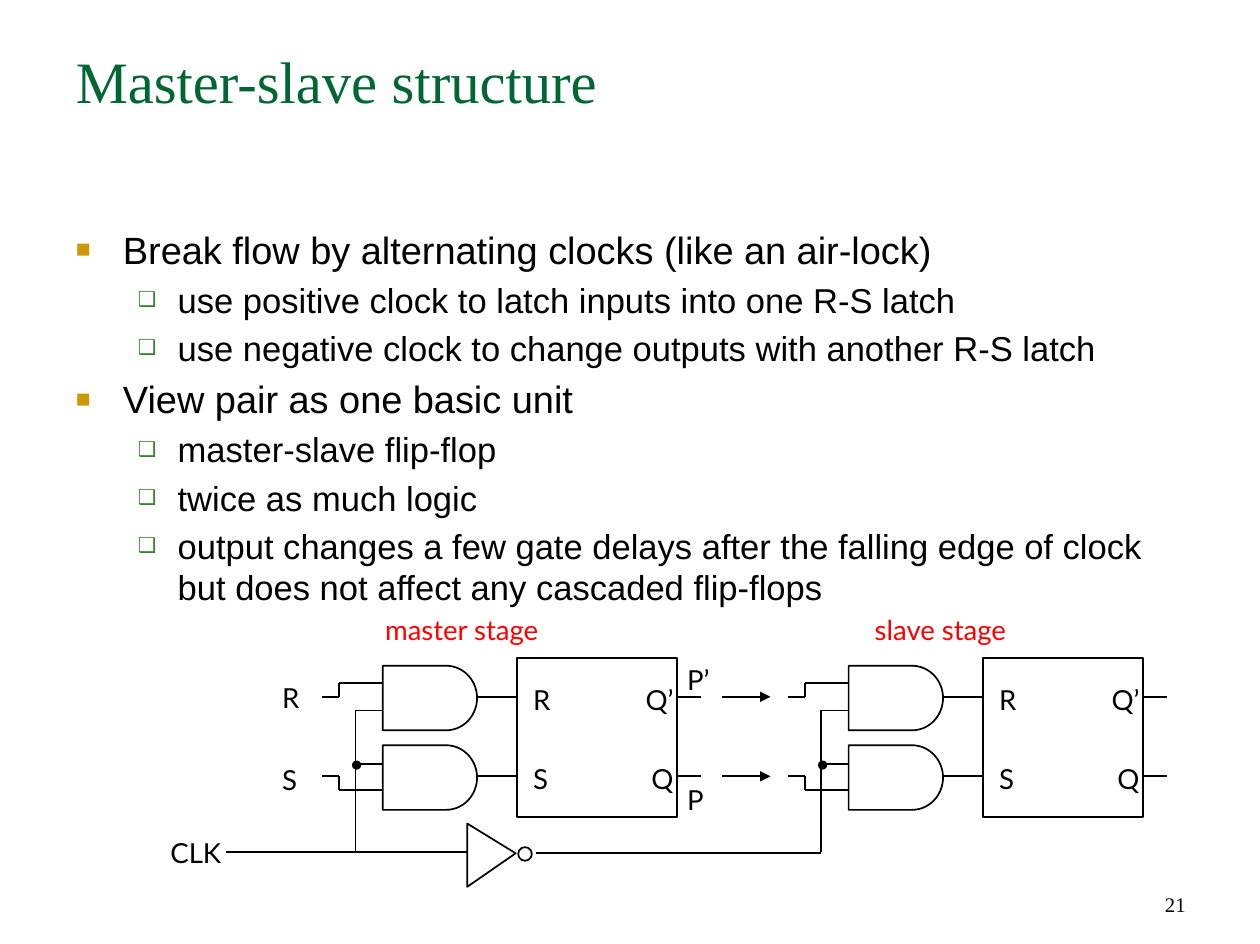
from dataclasses import dataclass
from math import cos, pi, sin

from lxml.etree import SubElement
from pptx import Presentation
from pptx.dml.color import RGBColor
from pptx.enum.shapes import MSO_CONNECTOR, MSO_SHAPE
from pptx.enum.text import MSO_ANCHOR, MSO_AUTO_SIZE, PP_ALIGN
from pptx.oxml.ns import qn
from pptx.util import Pt

PX = 9144  # EMU in one px, 100 px to the inch


@dataclass(frozen=True)
class Theme:
    ink: str = "000000"
    paper: str = "FFFFFF"
    head: str = "006633"
    stage: str = "FF0000"
    serif: str = "Times New Roman"
    sans: str = "Arial"
    label: str = "Lato"
    title: int = 34
    note: int = 16
    page: int = 12
    wire: int = 1


@dataclass(frozen=True)
class Level:
    size: int
    left: int
    hang: int
    mark: str
    tint: str
    scale: int
    gap: float


THEME = Theme()
LEVELS = (
    Level(22, 38, 38, "■", "CC9900", 65, 4.4),
    Level(20, 82, 32, "❑", "3B812F", 60, 4),
)
POINTS = (
    (0, "Break flow by alternating clocks (like an air-lock)"),
    (1, "use positive clock to latch inputs into one R-S latch"),
    (1, "use negative clock to change outputs with another R-S latch"),
    (0, "View pair as one basic unit"),
    (1, "master-slave flip-flop"),
    (1, "twice as much logic"),
    (1, "output changes a few gate delays after the falling edge of clock "
        "but does not affect any cascaded flip-flops"),
)
ROWS = (31, 95)  # the two signal rows, below the top of a stage


def px(*nums):
    return [round(n * PX) for n in nums]


def place(shape, box):
    shape.left, shape.top, shape.width, shape.height = px(*box)


def write(para, text, size, font, tint):
    run = para.add_run()
    run.text = text
    run.font.size = Pt(size)
    run.font.name = font
    run.font.color.rgb = RGBColor.from_string(tint)


def pad(frame, side, end):
    frame.margin_left, frame.margin_right = px(side, side)
    frame.margin_top, frame.margin_bottom = px(end, end)


def label(slide, text, box, tint=THEME.ink, align=PP_ALIGN.LEFT, lead=21):
    frame = slide.shapes.add_textbox(*px(*box)).text_frame
    frame.word_wrap = True
    pad(frame, 2, 3)
    para = frame.paragraphs[0]
    para.alignment = align
    para.line_spacing = Pt(lead)
    write(para, text, THEME.note, THEME.label, tint)


def ink(shape, fill=THEME.paper):
    shape.shadow.inherit = False
    shape.fill.solid()
    shape.fill.fore_color.rgb = RGBColor.from_string(fill)
    shape.line.color.rgb = RGBColor.from_string(THEME.ink)
    shape.line.width = Pt(THEME.wire)


def solid(slide, kind, box, fill=THEME.paper):
    ink(slide.shapes.add_shape(kind, *px(*box)), fill)


def shape(slide, spots):
    """Draw a closed outline through the spots."""
    first, *rest = [px(*spot) for spot in spots]
    pen = slide.shapes.build_freeform(*first)
    pen.add_line_segments(rest, close=True)
    ink(pen.convert_to_shape())


def wire(slide, *spots, arrow=False):
    """Join the spots by straight lines, one after another."""
    for start, end in zip(spots, spots[1:]):
        line = slide.shapes.add_connector(
            MSO_CONNECTOR.STRAIGHT, *px(*start, *end))
        line.line.color.rgb = RGBColor.from_string(THEME.ink)
        line.line.width = Pt(THEME.wire)
        if arrow:
            SubElement(line.line._get_or_add_ln(), qn("a:tailEnd"),
                       type="triangle")
        SubElement(line._element.spPr, qn("a:effectLst"))


def gate(slide, x, y, wide=76, high=52):
    """Draw an AND gate: a box with a round right end."""
    bend, half, steps = 25, high / 2, 36
    turns = [pi * (i / steps - 0.5) for i in range(steps + 1)]
    curve = [(x + wide - bend + bend * cos(t), y + half + half * sin(t))
             for t in turns]
    shape(slide, [(x, y), *curve, (x, y + high)])


def stage(slide, x, y):
    """Draw two gates that feed one R-S latch."""
    def run(*spots):
        wire(slide, *((x + a, y + b) for a, b in spots))

    solid(slide, MSO_SHAPE.RECTANGLE, (x + 157, y, 129, 128))
    names = (("R", "Q’"), ("S", "Q"))
    pins = ((20, 42), (106, 85))
    for row, (left, right), (data, clock) in zip(ROWS, names, pins):
        gate(slide, x + 49, y + row - 25)
        run((0, row), (14, row), (14, data), (49, data))
        run((27, clock), (49, clock))
        run((125, row), (157, row))
        run((286, row), (305, row))
        top = y + row - 17
        label(slide, left, (x + 168, top, 40, 43))
        label(slide, right, (x + 224, top, 61, 43), align=PP_ALIGN.RIGHT)
    run((27, 42), (27, 156))
    solid(slide, MSO_SHAPE.OVAL, (x + 25, y + 83, 6, 6), THEME.ink)


def clock(slide, x, y):
    """Draw the clock line with its inverter."""
    label(slide, "CLK", (x, y - 20, 104, 44), align=PP_ALIGN.RIGHT, lead=22)
    wire(slide, (x + 106, y), (x + 300, y))
    shape(slide, [(x + 300, y - 23), (x + 339, y + 1), (x + 300, y + 28)])
    solid(slide, MSO_SHAPE.OVAL, (x + 341, y - 4, 11, 11))
    wire(slide, (x + 355, y + 1), (x + 585, y + 1))


def circuit(slide, x, y):
    clock(slide, x - 183, y + 156)
    for name, left in (("master stage", 49), ("slave stage", 443)):
        label(slide, name, (x + left, y - 42, 190, 43), THEME.stage)
    for shift in (0, 375):
        stage(slide, x + shift, y)
    for name, row, drop in zip("RS", ROWS, (11, 77)):
        label(slide, name, (x - 34, y + drop, 30, 44), lead=22)
        wire(slide, (x + 322, y + row), (x + 361, y + row), arrow=True)
    for name, drop in (("P’", -2), ("P", 95)):
        label(slide, name, (x + 292, y + drop, 64, 43))


def title(slide, box):
    head = slide.shapes.title
    place(head, box)
    frame = head.text_frame
    frame.auto_size = MSO_AUTO_SIZE.NONE
    frame.vertical_anchor = MSO_ANCHOR.TOP
    pad(frame, 10, 5)
    para = frame.paragraphs[0]
    para.alignment = PP_ALIGN.LEFT
    write(para, "Master-slave structure", THEME.title, THEME.serif, THEME.head)


def bullet(para, level):
    props = para._p.get_or_add_pPr()
    left, hang = px(level.left, level.hang)
    props.set("marL", str(left))
    props.set("indent", str(-hang))
    tint = SubElement(props, qn("a:buClr"))
    SubElement(tint, qn("a:srgbClr"), val=level.tint)
    SubElement(props, qn("a:buSzPct"), val=str(level.scale * 1000))
    SubElement(props, qn("a:buFont"), typeface=THEME.sans)
    SubElement(props, qn("a:buChar"), char=level.mark)


def body(slide, box):
    part = slide.placeholders[1]
    place(part, box)
    frame = part.text_frame
    frame.auto_size = MSO_AUTO_SIZE.NONE
    pad(frame, 10, 5)
    for i, (depth, text) in enumerate(POINTS):
        para = frame.add_paragraph() if i else frame.paragraphs[0]
        level = LEVELS[depth]
        para.level = depth
        bullet(para, level)
        para.space_before = Pt(level.gap if i else 0)
        para.line_spacing = 1.0
        write(para, text, level.size, THEME.sans, THEME.ink)


def page(slide, box):
    frame = slide.shapes.add_textbox(*px(*box)).text_frame
    frame.word_wrap = True
    frame.vertical_anchor = MSO_ANCHOR.BOTTOM
    pad(frame, 10, 5)
    para = frame.paragraphs[0]
    para.alignment = PP_ALIGN.RIGHT
    write(para, "21", THEME.page, THEME.serif, THEME.ink)


def main():
    deck = Presentation()
    deck.slide_width, deck.slide_height = px(1014, 760)
    slide = deck.slides.add_slide(deck.slide_layouts[1])
    title(slide, (51, 31, 912, 126))
    body(slide, (51, 177, 912, 502))
    circuit(slide, 259, 530)
    page(slide, (727, 692, 237, 51))
    deck.save("out.pptx")


if __name__ == "__main__":
    main()
